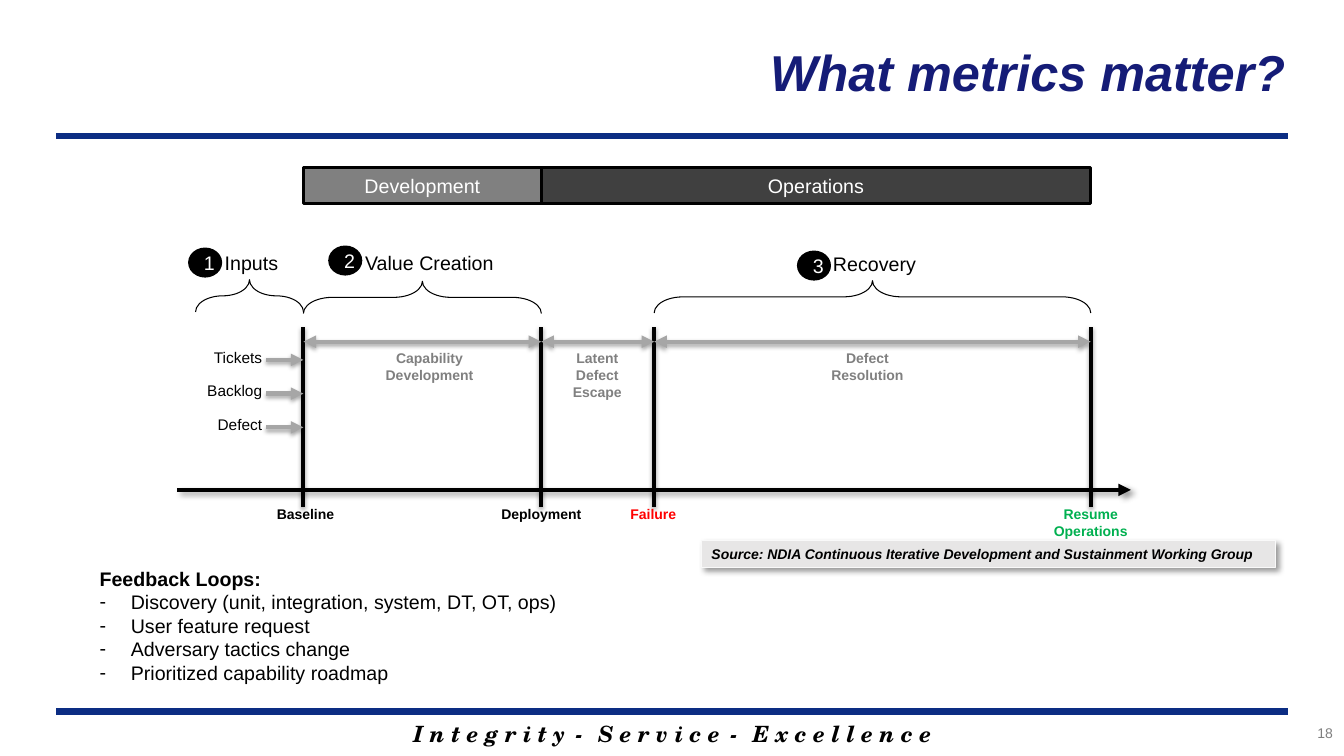
from lxml import etree
from pptx import Presentation, util as u
from pptx.dml.color import RGBColor
from pptx.enum import shapes, text
from pptx.oxml.ns import qn

COLUMNS, ROWS = 133.33, 75
LEFT, CENTER, RIGHT = text.PP_ALIGN.LEFT, text.PP_ALIGN.CENTER, text.PP_ALIGN.RIGHT
BLACK, WHITE, NAVY, TITLE_BLUE = "000000", "FFFFFF", "0C2D83", "151C77"
GRAY, DARK_GRAY, ARROW_GRAY = "808080", "404040", "A6A6A6"
# Shadows: opacity in percent, blur and distance in points, direction in degrees
SOFT, DROP = (35, 3.1, 1.8, 90), (40, 4, 3, 45)


def color(hex_code):
    return RGBColor.from_string(hex_code)


def add_element(parent, tag, **attributes):
    child = etree.SubElement(parent, qn(tag))
    for name, value in attributes.items():
        child.set(name, str(value))
    return child


class Page:
    """One slide on a grid of COLUMNS by ROWS."""

    font = "Arial"

    def __init__(self, deck):
        self.deck = deck
        self.shapes = deck.slides.add_slide(deck.slide_layouts[6]).shapes

    def x(self, columns):
        return round(self.deck.slide_width * columns / COLUMNS)

    def y(self, rows):
        return round(self.deck.slide_height * rows / ROWS)

    def area(self, left, top, width, height):
        return self.x(left), self.y(top), self.x(width), self.y(height)

    def style(self, span, size, ink, bold=False, italic=False, font=None):
        span.font.name = font or self.font
        span.font.size = u.Pt(size)
        span.font.bold, span.font.italic = bold, italic
        span.font.color.rgb = color(ink)

    def fill_text(self, shape, words, size, ink, align=CENTER, wrap=True,
                  middle=False, **style):
        frame = shape.text_frame
        frame.text = words
        frame.word_wrap = wrap
        frame.vertical_anchor = (text.MSO_ANCHOR.MIDDLE if middle
                                 else text.MSO_ANCHOR.TOP)
        for para in frame.paragraphs:
            para.alignment = align
            for span in para.runs:
                self.style(span, size, ink, **style)
        return frame

    def text(self, area, words, size, ink=BLACK, **style):
        box = self.shapes.add_textbox(*self.area(*area))
        return self.fill_text(box, words, size, ink, **style)

    def label(self, center, top, width, words, size, ink=BLACK, bold=False):
        """Unwrapped text centred on a column."""
        self.text((center - width / 2, top, width, 3), words, size, ink,
                  bold=bold, wrap=False)

    def shape(self, kind, area, fill=None, line=BLACK, weight=2.0, shadow=None):
        shape = self.shapes.add_shape(kind, *self.area(*area))
        shape.shadow.inherit = False
        if fill:
            shape.fill.solid()
            shape.fill.fore_color.rgb = color(fill)
        else:
            shape.fill.background()
        shape.line.color.rgb = color(line)
        shape.line.width = u.Pt(weight)
        if shadow:
            self.cast(shape._element.spPr.find(qn("a:effectLst")), shadow)
        return shape

    def cast(self, effects, shadow):
        """Put an outer shadow in an effect list."""
        opacity, blur, distance, angle = shadow
        outer = add_element(effects, "a:outerShdw", blurRad=u.Pt(blur),
                            dist=u.Pt(distance), dir=angle * 60000,
                            rotWithShape=0)
        tint = add_element(outer, "a:srgbClr", val=BLACK)
        add_element(tint, "a:alpha", val=opacity * 1000)

    def line(self, start, end, ink=BLACK, weight=3.0, arrows=(), shadow=SOFT):
        line = self.shapes.add_connector(
            shapes.MSO_CONNECTOR.STRAIGHT, self.x(start[0]), self.y(start[1]),
            self.x(end[0]), self.y(end[1]))
        line.line.color.rgb = color(ink)
        line.line.width = u.Pt(weight)
        properties = line._element.spPr
        for arrow in arrows:
            add_element(properties.find(qn("a:ln")), arrow, type="triangle")
        effects = add_element(properties, "a:effectLst")
        if shadow:
            self.cast(effects, shadow)

    def brace(self, left, right, middle):
        """Brace over a span of columns, pointing up."""
        depth, span = 3.2, right - left
        brace = self.shape(
            shapes.MSO_SHAPE.LEFT_BRACE,
            ((left + right - depth) / 2, middle - span / 2, depth, span),
            weight=0.75)
        brace.rotation = 90
        brace.adjustments[0] = 0.89

    def badge(self, left, top, number):
        oval = self.shape(shapes.MSO_SHAPE.OVAL, (left, top, 3.1, 2.7), BLACK)
        self.fill_text(oval, number, 14, WHITE, middle=True)

    def phase(self, left, right, name, fill):
        bar = self.shape(shapes.MSO_SHAPE.RECTANGLE,
                         (left, 16.6, right - left, 3.6), fill)
        self.fill_text(bar, name, 14, WHITE, middle=True)

    def dashes(self, paragraphs):
        for para in paragraphs:
            properties = para._p.get_or_add_pPr()
            properties.set("marL", str(u.Inches(0.31)))
            properties.set("indent", str(-u.Inches(0.31)))
            add_element(properties, "a:buFont", typeface=self.font)
            add_element(properties, "a:buChar", char="-")
            for span in para.runs:
                span.font.bold = False


def draw_frame(page):
    for row in (13.5, 70.6):
        page.line((5.6, row), (127.8, row), NAVY, 4.5, shadow=None)
    page.text((24.3, 0.8, 104.2, 12.5), "What metrics matter?", 36, TITLE_BLUE,
              align=RIGHT, bold=True, italic=True, middle=True)
    page.text((116.5, 71.4, 16.7, 3.3), "18", 10, "7F7F7F", align=RIGHT)

    motto = page.text((5.6, 71, 122.2, 3.7), "", 16).paragraphs[0]
    words = ("I n t e g r i t y", " - ", "S e r v i c e", " - ",
             "E x c e l l e n c e")
    for word in words:
        span = motto.add_run()
        span.text = word
        page.style(span, 16, BLACK, True, True, "TeX Gyre Schola")
        if word == " - ":
            span._r.get_or_add_rPr().set("spc", "300")


def draw_timeline(page):
    baseline, deployment, failure, resume = events = 30.1, 53.7, 64.9, 108.2

    page.phase(baseline, deployment, "Development", GRAY)
    page.phase(deployment, resume, "Operations", DARK_GRAY)

    stages = (
        ("1", "Inputs", 24.95, 24.4, 7.3, (18.8, 24.7), (19.4, baseline, 29.35)),
        ("2", "Value Creation", 42.6, 24.4, 14.8, (32.7, 24.5),
         (baseline, deployment, 29.5)),
        ("3", "Recovery", 86.75, 24.5, 10.3, (79.2, 25),
         (failure, resume, 29.45)),
    )
    for number, name, center, top, width, badge, brace in stages:
        page.brace(*brace)
        page.label(center, top, width, name, 14)
        page.badge(*badge, number)

    page.line((17.6, 48.6), (112.2, 48.6), arrows=["a:tailEnd"], shadow=DROP)
    for event in events:
        page.line((event, 50.3), (event, 32.4))

    names = ((30.3, "Baseline", BLACK), (deployment, "Deployment", BLACK),
             (64.8, "Failure", "FF0000"),
             (resume, "Resume\nOperations", "00B050"))
    for center, name, ink in names:
        page.label(center, 49.7, 10, name, 10, ink, bold=True)

    periods = ((baseline, deployment, 42.6, "Capability\nDevelopment"),
               (deployment, failure, 59.25, "Latent\nDefect\nEscape"),
               (failure, resume, 86.05, "Defect\nResolution"))
    for start, end, center, name in periods:
        page.line((start, 33.9), (end, 33.9), ARROW_GRAY,
                  arrows=["a:headEnd", "a:tailEnd"])
        page.label(center, 34.2, 10.8, name, 10, GRAY, bold=True)

    for index, name in enumerate(("Tickets", "Backlog", "Defect")):
        row = 35.7 + 3.35 * index
        page.line((26.4, row), (baseline, row), ARROW_GRAY, arrows=["a:tailEnd"])
        page.text((19.5, row - 1.7, 7.5, 2.9), name, 11, align=RIGHT, wrap=False)


def draw_notes(page):
    loops = page.text(
        (8.9, 55.7, 47.6, 12.8),
        "Feedback Loops:\nDiscovery (unit, integration, system, DT, OT, ops)\n"
        "User feature request\nAdversary tactics change\n"
        "Prioritized capability roadmap", 14, align=LEFT, bold=True, wrap=False)
    page.dashes(loops.paragraphs[1:])
    source = page.shape(shapes.MSO_SHAPE.RECTANGLE, (69.6, 53.6, 56.9, 2.7),
                        "E7E6E6", "F9F9F9", 0.75, DROP)
    page.fill_text(source, "Source: NDIA Continuous Iterative Development and "
                   "Sustainment Working Group", 10, BLACK, align=LEFT,
                   bold=True, italic=True)


def main():
    deck = Presentation()
    deck.slide_width, deck.slide_height = u.Inches(13.33), u.Inches(7.5)
    page = Page(deck)
    draw_frame(page)
    draw_timeline(page)
    draw_notes(page)
    deck.save("out.pptx")


if __name__ == "__main__":
    main()
